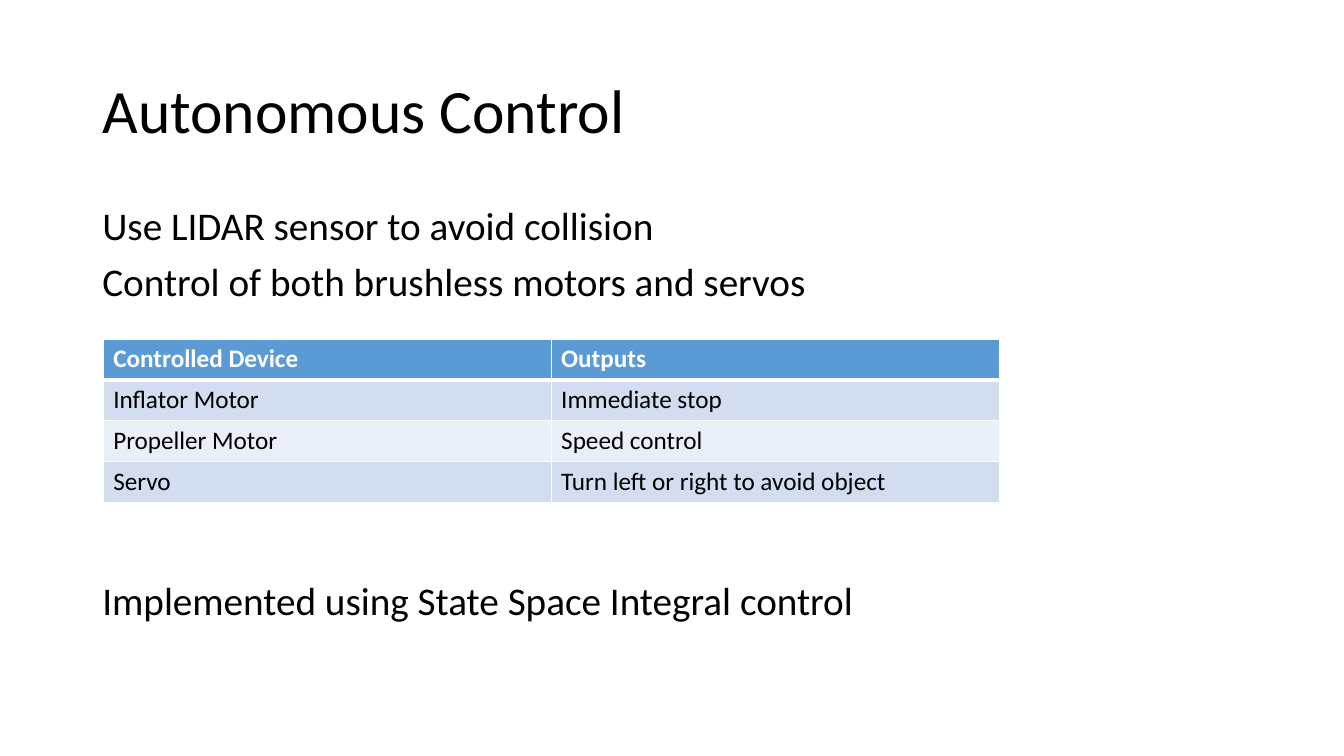
from lxml.etree import SubElement
from pptx import Presentation
from pptx.dml.color import RGBColor
from pptx.enum.text import MSO_ANCHOR, PP_ALIGN
from pptx.oxml.ns import qn
from pptx.util import Cm, Pt

FONT = "Calibri"
BLACK, WHITE = "000000", "FFFFFF"
HEADER_FILL = "5B9BD5"
BAND_FILLS = ["D2DEEF", "EAEFF7"]

TITLE = "Autonomous Control"
# Each point with the space before it, in points
POINTS = [
    ("Use LIDAR sensor to avoid collision", 10),
    ("Control of both brushless motors and servos", 10),
    ("Implemented using State Space Integral control", 198),
]
DEVICES = [
    ("Controlled Device", "Outputs"),
    ("Inflator Motor", "Immediate stop"),
    ("Propeller Motor", "Speed control"),
    ("Servo", "Turn left or right to avoid object"),
]


def color(value):
    return RGBColor.from_string(value)


def format_paragraph(p, size, font_color=BLACK, bold=False):
    p.alignment = PP_ALIGN.LEFT
    p.font.name = FONT
    p.font.size = Pt(size)
    p.font.bold = bold
    p.font.color.rgb = color(font_color)


def add_title(s, left, top, width, height):
    sp = s.shapes.title
    sp.left, sp.top, sp.width, sp.height = left, top, width, height
    tf = sp.text_frame
    tf.text = TITLE
    tf.vertical_anchor = MSO_ANCHOR.MIDDLE
    p = tf.paragraphs[0]
    format_paragraph(p, 44)
    p.line_spacing = 0.9


def add_points(s, left, top, width, height):
    tf = s.shapes.add_textbox(left, top, width, height).text_frame
    tf.word_wrap = True
    for i, (text, space) in enumerate(POINTS):
        p = tf.add_paragraph() if i else tf.paragraphs[0]
        p.text = text
        format_paragraph(p, 28)
        p.line_spacing = 0.9
        p.space_before = Pt(space)


def set_border(cell, side, width):
    ln = SubElement(cell._tc.get_or_add_tcPr(), qn(f"a:ln{side}"), w=str(Pt(width)))
    fill = SubElement(ln, qn("a:solidFill"))
    SubElement(fill, qn("a:srgbClr"), val=WHITE)


def format_cell(cell, row, text):
    is_header = row == 0
    # Borders: a thick rule between the header and the first row
    widths = {"L": 1, "R": 1, "T": 3 if row == 1 else 1, "B": 3 if is_header else 1}
    for side, width in widths.items():
        set_border(cell, side, width)
    cell.fill.solid()
    cell.fill.fore_color.rgb = color(HEADER_FILL if is_header else BAND_FILLS[(row - 1) % 2])
    cell.text = text
    format_paragraph(cell.text_frame.paragraphs[0], 18, WHITE if is_header else BLACK, is_header)


def add_device_table(s, left, top, width, height):
    rows, cols = len(DEVICES), len(DEVICES[0])
    table = s.shapes.add_table(rows, cols, left, top, width, height).table
    for row, texts in enumerate(DEVICES):
        for col, text in enumerate(texts):
            format_cell(table.cell(row, col), row, text)


def main():
    prs = Presentation()
    prs.slide_width, prs.slide_height = Cm(33.87), Cm(19.05)
    s = prs.slides.add_slide(prs.slide_layouts[5])

    # Title and points share a left edge and width
    left, width = Cm(2.33), Cm(29.21)
    add_title(s, left, Cm(1.01), width, Cm(3.68))
    add_points(s, left, Cm(5.07), width, Cm(12.09))

    # Table sits in the gap before the last point
    add_device_table(s, left + Cm(0.27), Cm(8.54), Cm(22.58), Cm(4.12))
    prs.save("out.pptx")


if __name__ == "__main__":
    main()
